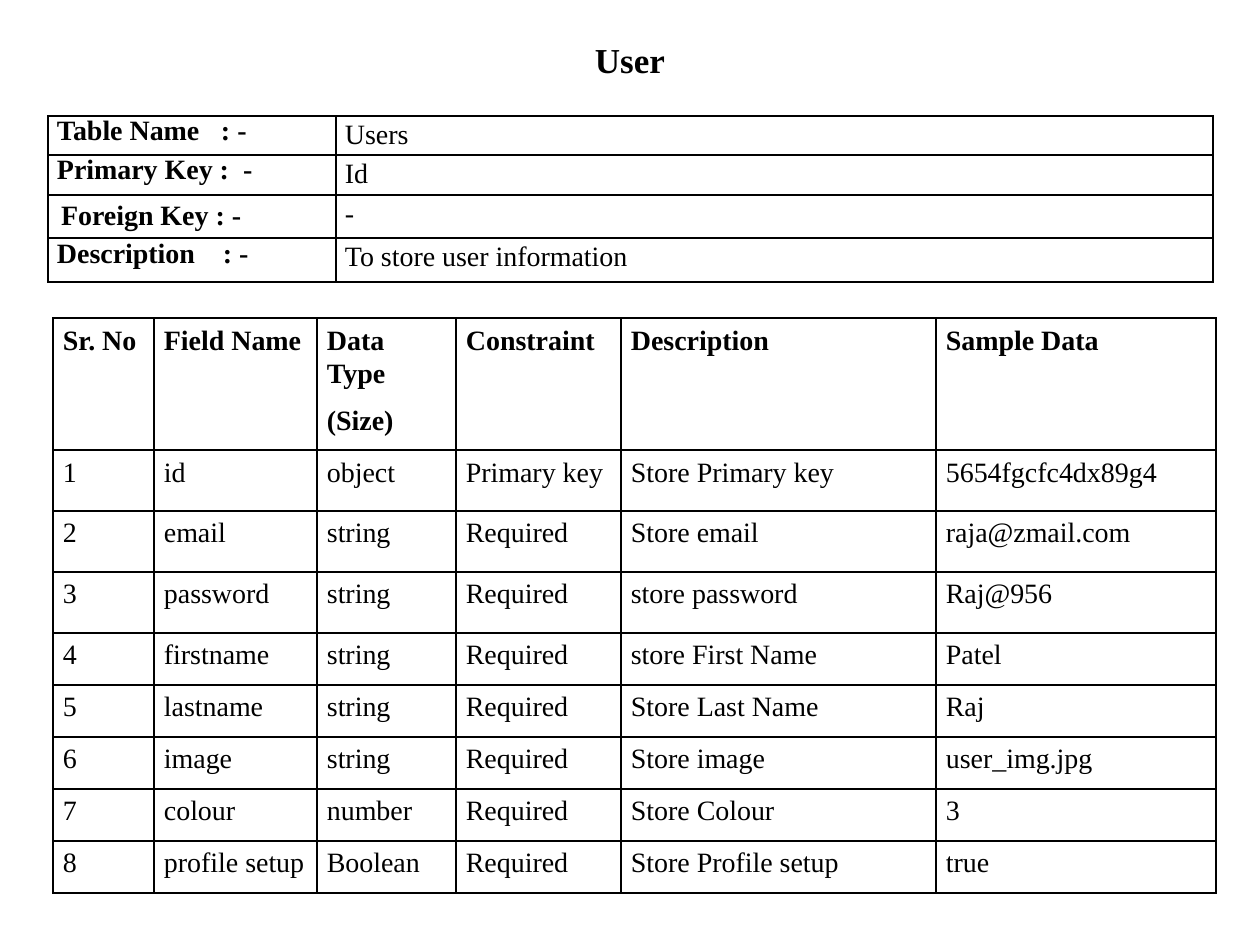
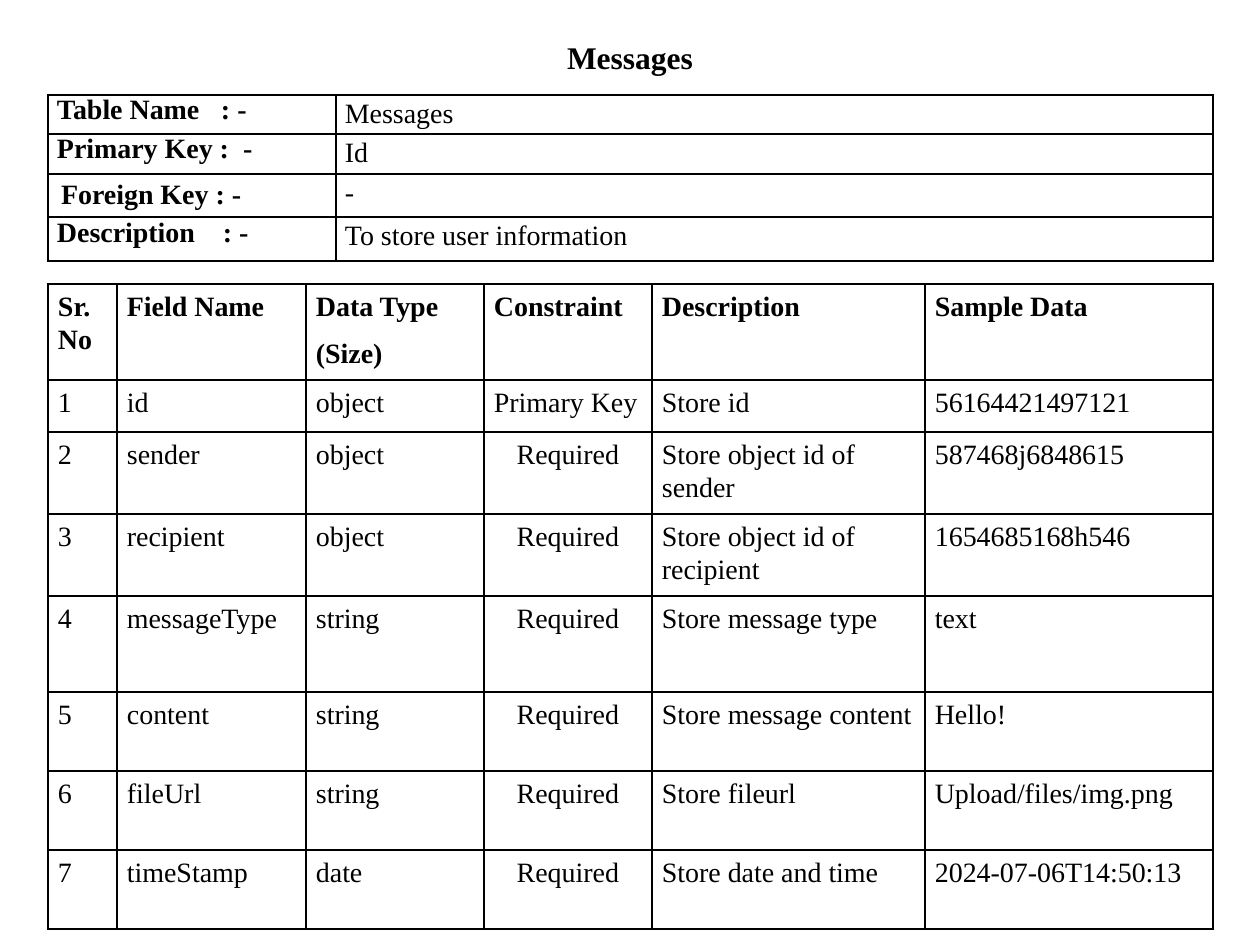
from dataclasses import dataclass
from typing import Optional

from lxml import etree
from pptx import Presentation
from pptx.dml.color import RGBColor
from pptx.enum.text import MSO_ANCHOR, MSO_AUTO_SIZE, PP_ALIGN
from pptx.oxml.ns import qn
from pptx.util import Emu, Pt

CENTER, LEFT = PP_ALIGN.CENTER, PP_ALIGN.LEFT
TOP = MSO_ANCHOR.TOP
NO_AUTOSIZE = MSO_AUTO_SIZE.NONE
EMU_PER_PX = 914400 / 126
SLIDE_W, SLIDE_H = 1260, 945
TITLE_ONLY = 5


@dataclass(frozen=True)
class Theme:
    font: str = "Times New Roman"
    ink: str = "000000"
    paper: str = "FFFFFF"
    cell_size: int = 16
    border: int = 1
    line_spacing: float = 1.07
    space_after: int = 8


@dataclass(frozen=True)
class Box:
    x: int
    y: int
    cols: tuple[int, ...]
    rows: tuple[int, ...]


@dataclass(frozen=True)
class Insets:
    x: int
    top: int
    bottom: int


@dataclass(frozen=True)
class InfoLabel:
    text: str
    insets: Insets
    tab: Optional[int] = None


@dataclass(frozen=True)
class Schema:
    title: str
    title_size: int
    title_height: int
    info_top: int
    info_values: tuple[str, ...]
    fields_box: Box
    fields: tuple[tuple[str, ...], ...]
    center_required: bool = False


THEME = Theme()
LABEL_INSETS = Insets(9, 0, 0)
VALUE_INSETS = Insets(9, 1, 0)
FIELD_INSETS = Insets(10, 5, 5)

INFO_LABELS = (
    InfoLabel("Table Name\t: -", LABEL_INSETS, 164),
    InfoLabel("Primary Key :\t-", LABEL_INSETS, 186),
    InfoLabel("Foreign Key : -", Insets(13, 6, 6)),
    InfoLabel("Description\t: -", LABEL_INSETS, 166),
)
INFO_LEFT = 48
INFO_COLS = (288, 877)
INFO_ROWS = (39, 40, 43, 44)

FIELD_HEADER = ("Sr. No", "Field Name", "Data Type\n(Size)", "Constraint",
                "Description", "Sample Data")

SCHEMAS = (
    Schema(
        "User", 20, 55, 116,
        ("Users", "Id", "-", "To store user information"),
        Box(53, 318, (101, 163, 139, 165, 315, 280), (132, 61, 61, 61) + (52,) * 5),
        (
            ("id", "object", "Primary key", "Store Primary key", "5654fgcfc4dx89g4"),
            ("email", "string", "Required", "Store email", "raja@zmail.com"),
            ("password", "string", "Required", "store password", "Raj@956"),
            ("firstname", "string", "Required", "store First Name", "Patel"),
            ("lastname", "string", "Required", "Store Last Name", "Raj"),
            ("image", "string", "Required", "Store image", "user_img.jpg"),
            ("colour", "number", "Required", "Store Colour", "3"),
            ("profile setup", "Boolean", "Required", "Store Profile setup", "true"),
        ),
    ),
    Schema(
        "Messages", 18, 51, 95,
        ("Messages", "Id", "-", "To store user information"),
        Box(48, 284, (69, 189, 178, 168, 273, 288), (96, 52, 82, 82, 96, 79, 79, 79)),
        (
            ("id", "object", "Primary Key", "Store id", "56164421497121"),
            ("sender", "object", "Required", "Store object id of sender", "587468j6848615"),
            ("recipient", "object", "Required", "Store object id of recipient",
             "1654685168h546"),
            ("messageType", "string", "Required", "Store message type", "text"),
            ("content", "string", "Required", "Store message content", "Hello!"),
            ("fileUrl", "string", "Required", "Store fileurl", "Upload/files/img.png"),
            ("timeStamp", "date", "Required", "Store date and time", "2024-07-06T14:50:13"),
        ),
        center_required=True,
    ),
)


def px(n: int) -> Emu:
    return Emu(round(n * EMU_PER_PX))


def style_runs(p, size: int, bold: bool) -> None:
    for r in p.runs:
        r.font.name = THEME.font
        r.font.size = Pt(size)
        r.font.bold = bold
        r.font.color.rgb = RGBColor.from_string(THEME.ink)


def add_borders(cell) -> None:
    tc_pr = cell._tc.get_or_add_tcPr()
    for side in ("a:lnL", "a:lnR", "a:lnT", "a:lnB"):
        ln = etree.SubElement(tc_pr, qn(side), w=str(Pt(THEME.border)))
        fill = etree.SubElement(ln, qn("a:solidFill"))
        etree.SubElement(fill, qn("a:srgbClr"), val=THEME.ink)


def add_tab_stop(p, pos: int) -> None:
    tabs = etree.SubElement(p._p.get_or_add_pPr(), qn("a:tabLst"))
    etree.SubElement(tabs, qn("a:tab"), pos=str(px(pos)), algn="l")


def fill_cell(cell, text: str, insets: Insets, bold: bool = False,
              spaced: bool = True, align: PP_ALIGN = LEFT) -> None:
    """Write one bordered cell; spaced adds the line and paragraph spacing."""
    cell.margin_left = cell.margin_right = px(insets.x)
    cell.margin_top, cell.margin_bottom = px(insets.top), px(insets.bottom)
    cell.vertical_anchor = TOP
    add_borders(cell)
    cell.fill.background()
    cell.text_frame.text = text
    for p in cell.text_frame.paragraphs:
        p.alignment = align
        if spaced:
            p.line_spacing = THEME.line_spacing
            p.space_after = Pt(THEME.space_after)
        style_runs(p, THEME.cell_size, bold)


def add_plain_table(s, box: Box):
    frame = s.shapes.add_table(len(box.rows), len(box.cols), px(box.x), px(box.y),
                               px(sum(box.cols)), px(sum(box.rows)))
    table = frame.table
    table.first_row = table.horz_banding = False
    for col, width in zip(table.columns, box.cols):
        col.width = px(width)
    for row, height in zip(table.rows, box.rows):
        row.height = px(height)
    return table


def set_title(s, schema: Schema) -> None:
    title = s.shapes.title
    title.left, title.top = px(32), px(32)
    title.width, title.height = px(1196), px(schema.title_height)
    tf = title.text_frame
    tf.text = schema.title
    tf.auto_size = NO_AUTOSIZE
    tf.vertical_anchor = TOP
    p = tf.paragraphs[0]
    p.alignment = CENTER
    style_runs(p, schema.title_size, True)


def add_info_table(s, schema: Schema) -> None:
    table = add_plain_table(s, Box(INFO_LEFT, schema.info_top, INFO_COLS, INFO_ROWS))
    for i, (label, value) in enumerate(zip(INFO_LABELS, schema.info_values)):
        cell = table.cell(i, 0)
        fill_cell(cell, label.text, label.insets, bold=True, spaced=False)
        if label.tab is not None:
            add_tab_stop(cell.text_frame.paragraphs[0], label.tab)
        fill_cell(table.cell(i, 1), value, VALUE_INSETS)


def add_fields_table(s, schema: Schema) -> None:
    table = add_plain_table(s, schema.fields_box)
    for j, heading in enumerate(FIELD_HEADER):
        fill_cell(table.cell(0, j), heading, FIELD_INSETS, bold=True)
    for i, field in enumerate(schema.fields, start=1):
        for j, text in enumerate((str(i), *field)):
            centered = schema.center_required and text == "Required"
            fill_cell(table.cell(i, j), text, FIELD_INSETS,
                      align=CENTER if centered else LEFT)


def main() -> None:
    prs = Presentation()
    prs.slide_width, prs.slide_height = px(SLIDE_W), px(SLIDE_H)
    background = prs.slide_master.background.fill
    background.solid()
    background.fore_color.rgb = RGBColor.from_string(THEME.paper)
    for schema in SCHEMAS:
        s = prs.slides.add_slide(prs.slide_layouts[TITLE_ONLY])
        set_title(s, schema)
        add_info_table(s, schema)
        add_fields_table(s, schema)
    prs.save("out.pptx")


if __name__ == "__main__":
    main()
